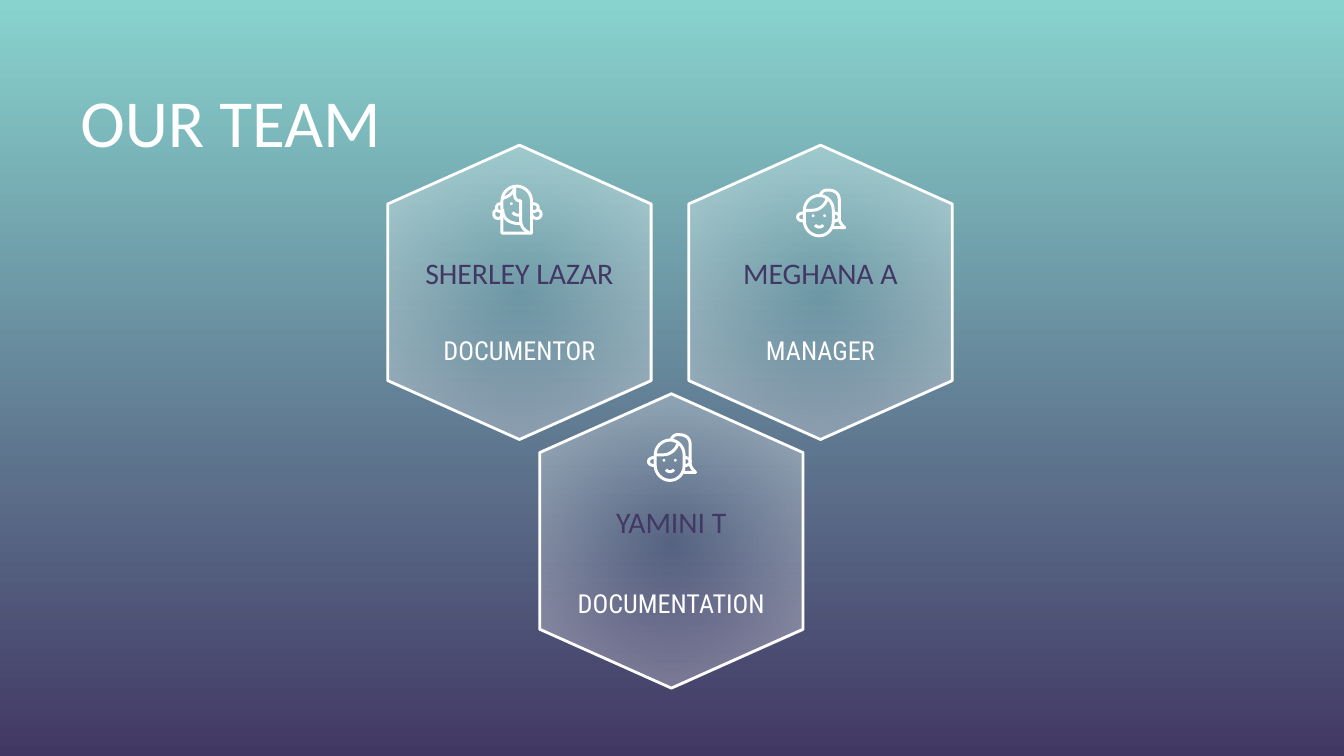
"""Build a team slide with three hexagon cards on a gradient background."""
from lxml.etree import SubElement
from pptx import Presentation
from pptx.dml.color import RGBColor
from pptx.enum.shapes import MSO_SHAPE as Preset
from pptx.enum.text import MSO_ANCHOR as Anchor, PP_ALIGN as Align
from pptx.oxml.ns import qn
from pptx.util import Inches, Pt

WHITE = RGBColor(0xFF, 0xFF, 0xFF)
AQUA = RGBColor(0x88, 0xD3, 0xCE)
PURPLE = RGBColor(0x42, 0x38, 0x64)

WIDTH = 10
HEIGHT = WIDTH * 9 / 16
HEXAGON_LENGTH, HEXAGON_BREADTH = 2.19, 1.96
LABEL_WIDTH, LABEL_HEIGHT = 1.8, 0.4
NAME_BOTTOM = 0.09
ICON_UNIT = 0.01
EYE_SIZE = 0.02
CURVE_STEPS = 8

LONG_HAIR = {
    "strokes": [
        "M 7 36 L 7 12 C 7 6 12 1 18 1 C 24 1 29 6 29 12 L 29 36 L 7 36",
        "M 7.5 10 C 11 9.5 16 6 16.5 2 L 16.5 8 C 16.5 10 18 12 21 12 "
        "L 21 27 C 21 31 24 35 29 36",
        "M 7.5 18 C 7.5 25 12 29 21 29",
        "M 15 20.5 C 16 22 18 23 21 22.5",
        "M 7 14 C 4 14 3 15 3 17 C 3 19 4 20 7 20",
        "M 3 19 C 0 19 0 25 4 25 C 6 25 7 24 7 21",
        "M 29 14 C 32 14 34 15 34 17 C 34 19 32 20 29 20",
        "M 34 19 C 37 19 37 25 33 25 C 31 25 29 24 29 21",
    ],
    "eyes": [(14, 14)],
}
PONYTAIL = {
    "strokes": [
        "M 6 17 C 6 11 11 6 17 6 C 23 6 27.5 11 27.5 17 L 27.5 25 "
        "C 27.5 31 23 36 17 36 C 11 36 6 31 6 25 L 6 17",
        "M 6 17 L 12 17 C 17 17 22 13 23 8",
        "M 6 19 C 3 19 1 20 1 22 C 1 24 3 25 6 25",
        "M 27.5 19 C 30 19 32 20 32 22 C 32 24 30 25 27.5 25",
        "M 17.5 6 C 19 3 21 1.5 24 2 C 29 2 32 5 32 9 L 32 23 "
        "C 32 26 34 28 36 30 L 27 30",
        "M 14 28 C 15.5 30 18.5 30 20 28",
    ],
    "eyes": [(12.5, 21), (21, 21)],
}

TITLE = "OUR TEAM"
MEMBERS = [
    {"name": "SHERLEY LAZAR", "role": "DOCUMENTOR", "center": (3.865, 2.175),
     "icon": LONG_HAIR, "icon_at": (-0.2, -0.8), "role_drop": 0.43},
    {"name": "MEGHANA A", "role": "MANAGER", "center": (6.105, 2.175),
     "icon": PONYTAIL, "icon_at": (-0.18, -0.78), "role_drop": 0.43},
    {"name": "YAMINI T", "role": "DOCUMENTATION", "center": (4.995, 4.025),
     "icon": PONYTAIL, "icon_at": (-0.18, -0.81), "role_drop": 0.46},
]


def add_text(slide, text, box, font_name, size, color, align, anchor):
    shape = slide.shapes.add_textbox(*map(Inches, box))
    frame = shape.text_frame
    frame.word_wrap = True
    frame.vertical_anchor = anchor
    frame.margin_left = frame.margin_right = Inches(0.1)
    frame.margin_top = frame.margin_bottom = Inches(0.1)
    frame.text = text
    paragraph = frame.paragraphs[0]
    paragraph.alignment = align
    font = paragraph.runs[0].font
    font.name, font.size, font.color.rgb = font_name, Pt(size), color


def add_hexagon(slide, center_x, center_y):
    box = (center_x - HEXAGON_LENGTH / 2, center_y - HEXAGON_BREADTH / 2,
           HEXAGON_LENGTH, HEXAGON_BREADTH)
    shape = slide.shapes.add_shape(Preset.FLOWCHART_PREPARATION, *map(Inches, box))
    shape.rotation = 90
    shape.shadow.inherit = False
    shape.line.color.rgb = WHITE
    shape.line.width = Pt(1.5)
    shape.fill.gradient()
    for stop in shape.fill.gradient_stops:
        stop.color.rgb = WHITE
    gradient = shape.element.spPr.find(qn("a:gradFill"))
    for color, alpha in zip(gradient.iter(qn("a:srgbClr")), (0, 39000)):
        SubElement(color, qn("a:alpha"), val=str(alpha))
    gradient.remove(gradient.find(qn("a:lin")))
    radial = SubElement(gradient, qn("a:path"), path="circle")
    SubElement(radial, qn("a:fillToRect"), l="50000", t="50000", r="50000", b="50000")


def trace(stroke):
    points, tokens = [], stroke.split()
    while tokens:
        count = 6 if tokens.pop(0) == "C" else 2
        values = [float(token) for token in tokens[:count]]
        del tokens[:count]
        if count == 2:
            points.append(tuple(values))
            continue
        controls = [points[-1], *zip(values[::2], values[1::2])]
        for step in range(1, CURVE_STEPS + 1):
            t = step / CURVE_STEPS
            weights = ((1 - t) ** 3, 3 * t * (1 - t) ** 2, 3 * t * t * (1 - t), t ** 3)
            points.append(tuple(sum(weight * control[axis]
                                    for weight, control in zip(weights, controls))
                                for axis in (0, 1)))
    return points


def add_icon(slide, icon, left, top):
    def place(point):
        return Inches(left + point[0] * ICON_UNIT), Inches(top + point[1] * ICON_UNIT)

    lines = [[place(point) for point in trace(stroke)] for stroke in icon["strokes"]]
    builder = slide.shapes.build_freeform(*lines[0][0])
    for index, line in enumerate(lines):
        if index:
            builder.move_to(*line[0])
        builder.add_line_segments(line[1:], close=False)
    outline = builder.convert_to_shape()
    outline.shadow.inherit = False
    outline.fill.background()
    outline.line.color.rgb = WHITE
    outline.line.width = Pt(1.6)
    for eye in icon["eyes"]:
        x, y = place(eye)
        size = Inches(EYE_SIZE)
        dot = slide.shapes.add_shape(Preset.OVAL, x - size // 2, y - size // 2, size, size)
        dot.shadow.inherit = False
        dot.fill.solid()
        dot.fill.fore_color.rgb = WHITE
        dot.line.fill.background()


def add_member(slide, member):
    x, y = member["center"]
    icon_x, icon_y = member["icon_at"]
    left = x - LABEL_WIDTH / 2
    add_hexagon(slide, x, y)
    add_icon(slide, member["icon"], x + icon_x, y + icon_y)
    add_text(slide, member["name"],
             (left, y + NAME_BOTTOM - LABEL_HEIGHT, LABEL_WIDTH, LABEL_HEIGHT),
             "Calibri", 16, PURPLE, Align.CENTER, Anchor.BOTTOM)
    add_text(slide, member["role"],
             (left, y + member["role_drop"] - LABEL_HEIGHT / 2, LABEL_WIDTH, LABEL_HEIGHT),
             "Roboto Condensed", 14, WHITE, Align.CENTER, Anchor.MIDDLE)


def main():
    presentation = Presentation()
    presentation.slide_width, presentation.slide_height = Inches(WIDTH), Inches(HEIGHT)
    slide = presentation.slides.add_slide(presentation.slide_layouts[6])
    background = slide.background.fill
    background.gradient()
    background.gradient_angle = 270
    for stop, color in zip(background.gradient_stops, (AQUA, PURPLE)):
        stop.color.rgb = color
    add_text(slide, TITLE, (0.5, 0.57, 9, 0.73), "Calibri", 36, WHITE,
             Align.LEFT, Anchor.BOTTOM)
    for member in MEMBERS:
        add_member(slide, member)
    presentation.save("out.pptx")


if __name__ == "__main__":
    main()
